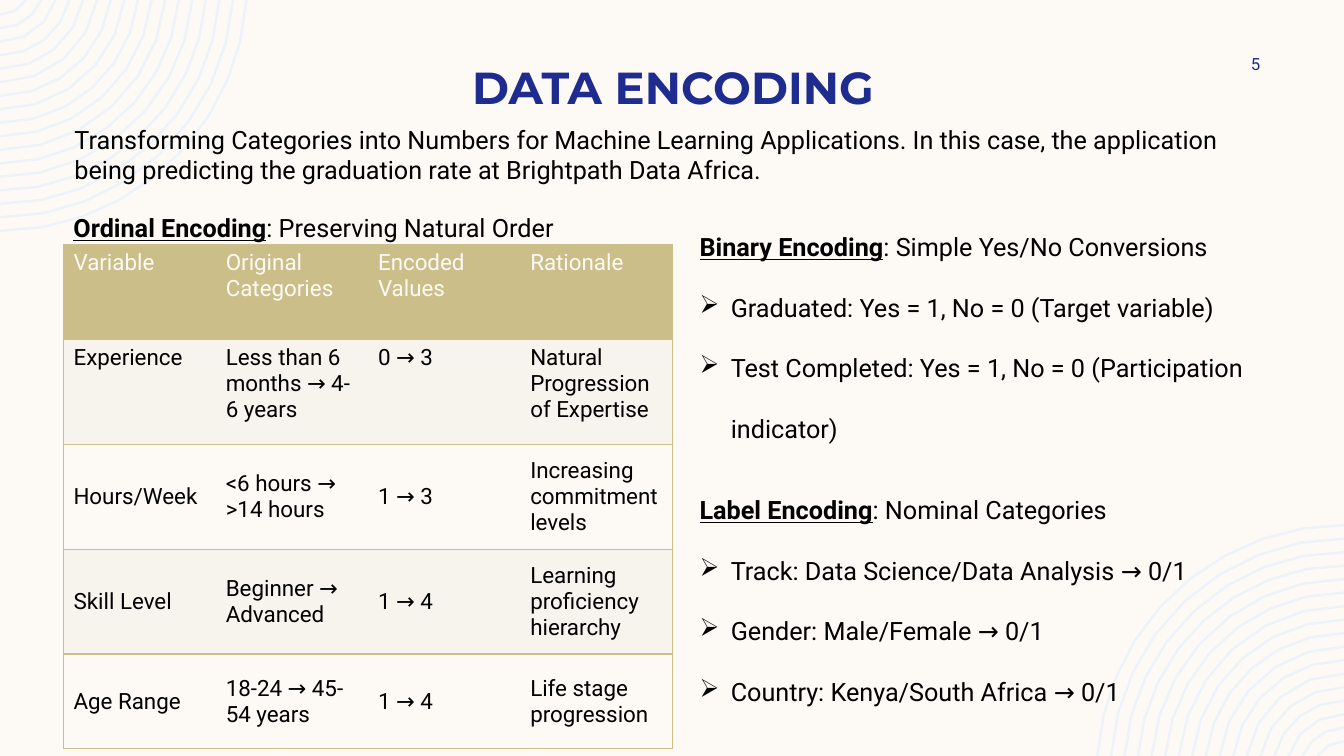
"""Build the data encoding slide."""
import math

import lxml.etree
import pptx
import pptx.dml.color
import pptx.enum.text
import pptx.oxml
import pptx.oxml.ns
import pptx.util

Inches = pptx.util.Inches
Pt = pptx.util.Pt
ALIGN = pptx.enum.text.PP_ALIGN
ANCHOR = pptx.enum.text.MSO_ANCHOR

COLORS = {
    "cream": "FDFAF6",
    "ring": "EEF3FA",
    "navy": "1F2C8F",
    "black": "000000",
    "gold": "CCBE89",
    "band": "F6F4ED",
}

GRID = [
    ["Variable", "Original Categories", "Encoded Values", "Rationale"],
    ["Experience", "Less than 6 months → 4-6 years", "0 → 3",
     "Natural Progression of Expertise"],
    ["Hours/Week", "<6 hours → >14 hours", "1 → 3",
     "Increasing commitment levels"],
    ["Skill Level", "Beginner → Advanced", "1 → 4",
     "Learning proficiency hierarchy"],
    ["Age Range", "18-24 → 45-54 years", "1 → 4", "Life stage progression"],
]
HEIGHTS = [0.94, 1.04, 1.04, 1.04, 0.94]


def tint(name):
    return pptx.dml.color.RGBColor.from_string(COLORS[name])


def arc(radius, drop):
    start = math.asin(drop / radius)
    steps = math.ceil(radius * 3) + 1
    turns = [start + (math.pi / 2 - start) * step / steps
             for step in range(steps + 1)]
    return [(radius * math.cos(turn), radius * math.sin(turn) - drop)
            for turn in turns]


class Deck:
    def __init__(self, slide, font="Roboto"):
        self.slide = slide
        self.font = font
        fill = slide.background.fill
        fill.solid()
        fill.fore_color.rgb = tint("cream")

    def rings(self, corner, sign):
        def place(point):
            return [Inches(base + sign * part)
                    for base, part in zip(corner, point)]

        pen = None
        for index in range(17):
            points = arc(2.45 - index * 0.134, 0.16)
            first, *rest = [place(point) for point in points]
            if pen is None:
                pen = self.slide.shapes.build_freeform(*first, scale=1.0)
            else:
                pen.move_to(*first)
            pen.add_line_segments(rest, close=False)
        shape = pen.convert_to_shape()
        shape.shadow.inherit = False
        shape.fill.background()
        shape.line.color.rgb = tint("ring")
        shape.line.width = Pt(1.8)

    def run(self, para, text, size, color="black", bold=False, font=None):
        run = para.add_run()
        run.text = text
        run.font.size = Pt(size)
        run.font.name = font or self.font
        run.font.color.rgb = tint(color)
        run.font.bold = bold
        return run

    def box(self, left, top, width, height, anchor=ANCHOR.TOP):
        shape = self.slide.shapes.add_textbox(
            Inches(left), Inches(top), Inches(width), Inches(height))
        frame = shape.text_frame
        frame.word_wrap = True
        frame.vertical_anchor = anchor
        return frame

    def label(self, place, text, size, align=ALIGN.LEFT, anchor=ANCHOR.TOP,
              **style):
        frame = self.box(*place, anchor=anchor)
        para = frame.paragraphs[0]
        para.alignment = align
        self.run(para, text, size, **style)
        return frame

    def topic(self, place, head, tail, items=(), space=None):
        frame = self.box(*place)
        para = frame.paragraphs[0]
        para.line_spacing = space
        self.run(para, head, 18, bold=True).font.underline = True
        self.run(para, tail, 18)
        for item in items:
            para = frame.add_paragraph()
            para.line_spacing = 2.0
            self.bullet(para)
            self.run(para, item, 18)

    def bullet(self, para):
        props = para._p.get_or_add_pPr()
        props.set("marL", str(Inches(0.31)))
        props.set("indent", str(Inches(-0.31)))
        mark = lxml.etree.SubElement(props, pptx.oxml.ns.qn("a:buChar"))
        mark.set("char", "➢")

    def edge(self, cell, side, shown):
        props = cell._tc.get_or_add_tcPr()
        line = lxml.etree.SubElement(props, pptx.oxml.ns.qn("a:ln" + side))
        line.set("w", str(Pt(1)))
        kind = "a:solidFill" if shown else "a:noFill"
        fill = lxml.etree.SubElement(line, pptx.oxml.ns.qn(kind))
        if shown:
            color = lxml.etree.SubElement(fill, pptx.oxml.ns.qn("a:srgbClr"))
            color.set("val", COLORS["gold"])

    def table(self, left, top, width, rows, heights):
        count = len(rows[0])
        table = self.slide.shapes.add_table(
            len(rows), count, Inches(left), Inches(top),
            Inches(width), Inches(sum(heights))).table
        table.horz_banding = False
        for r, (texts, height) in enumerate(zip(rows, heights)):
            table.rows[r].height = Inches(height)
            back = "gold" if r == 0 else "band" if r % 2 else "cream"
            for c, text in enumerate(texts):
                cell = table.cell(r, c)
                shown = {"L": c == 0, "R": c == count - 1,
                         "T": True, "B": True}
                for side, flag in shown.items():
                    self.edge(cell, side, flag)
                cell.fill.solid()
                cell.fill.fore_color.rgb = tint(back)
                cell.vertical_anchor = ANCHOR.TOP if r < 2 else ANCHOR.MIDDLE
                self.run(cell.text_frame.paragraphs[0], text, 16,
                         "black" if r else "cream")


def main():
    show = pptx.Presentation()
    show.slide_width = Inches(13.33)
    show.slide_height = Inches(7.5)
    deck = Deck(show.slides.add_slide(show.slide_layouts[6]))

    deck.rings((0, 0), 1)
    deck.rings((13.33, 7.5), -1)
    title = deck.label((0.84, 0.36, 11.67, 0.85), "DATA ENCODING", 32,
                       ALIGN.CENTER, ANCHOR.MIDDLE, color="navy", bold=True,
                       font="Montserrat")
    title.paragraphs[0].line_spacing = Pt(48.8)
    number = deck.label((11.42, 0.5, 1.08, 0.27), "5", 12, ALIGN.RIGHT,
                        ANCHOR.MIDDLE, color="navy")
    number.margin_right = 0
    deck.label((0.64, 1.18, 11.87, 0.71),
               "Transforming Categories into Numbers for Machine Learning "
               "Applications. In this case, the application being predicting "
               "the graduation rate at Brightpath Data Africa.", 18)

    deck.topic((0.63, 2.06, 6.04, 0.71), "Ordinal Encoding",
               ": Preserving Natural Order")
    deck.table(0.63, 2.43, 6.04, GRID, HEIGHTS)
    deck.topic((6.84, 2.25, 6.04, 2.14), "Binary Encoding",
               ": Simple Yes/No Conversions",
               ["Graduated: Yes = 1, No = 0 (Target variable)",
                "Test Completed: Yes = 1, No = 0 (Participation indicator)"])
    deck.topic((6.84, 4.56, 6.04, 2.44), "Label Encoding",
               ": Nominal Categories",
               ["Track: Data Science/Data Analysis → 0/1",
                "Gender: Male/Female → 0/1",
                "Country: Kenya/South Africa → 0/1"], 2.0)
    show.save("out.pptx")


if __name__ == "__main__":
    main()
